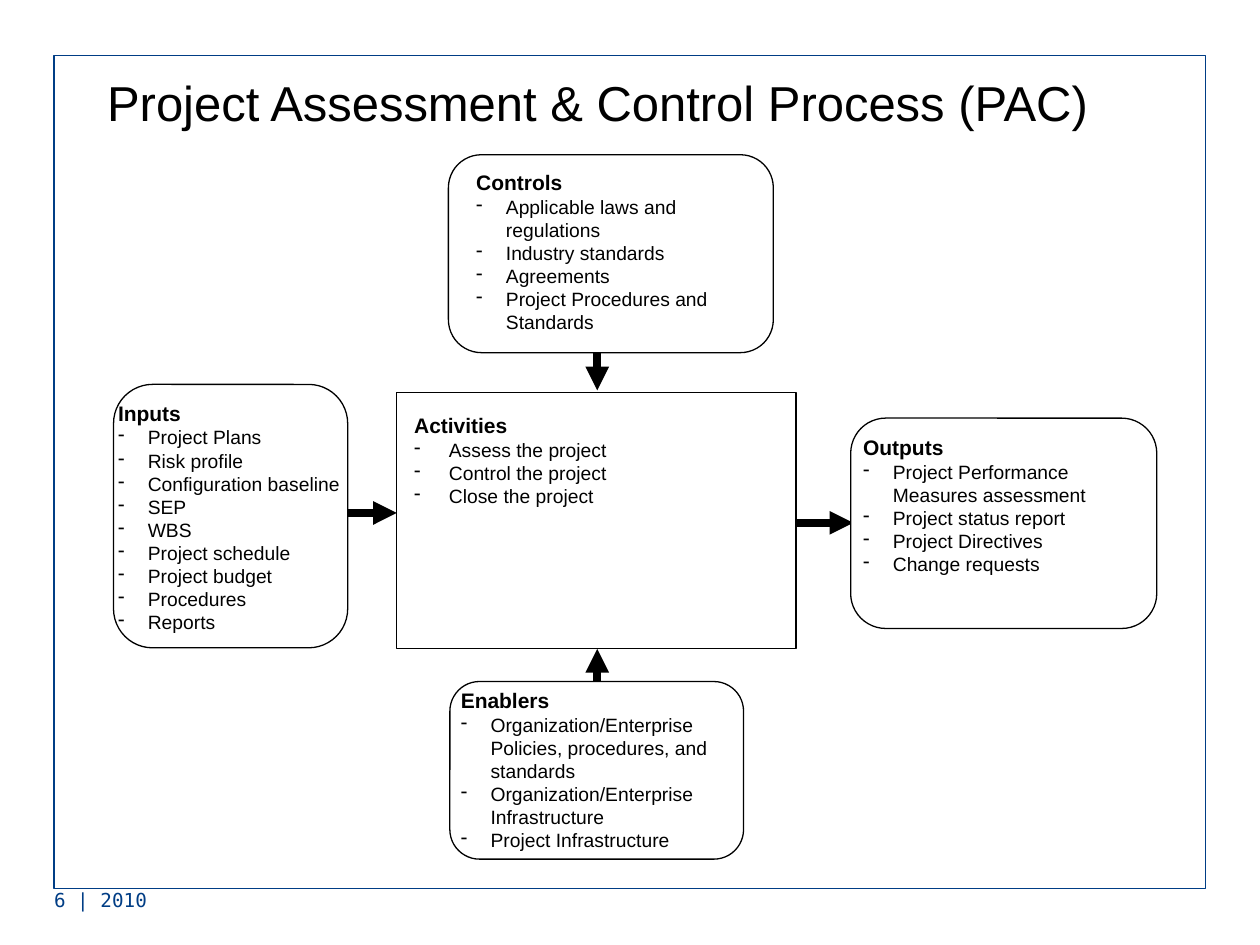
"""Builds the Project Assessment & Control process diagram slide."""
from lxml.etree import SubElement
from pptx import Presentation
from pptx.dml.color import RGBColor
from pptx.enum.shapes import MSO_CONNECTOR, MSO_SHAPE
from pptx.enum.text import MSO_ANCHOR
from pptx.oxml.ns import qn
from pptx.util import Cm, Pt

BLACK = RGBColor(0x00, 0x00, 0x00)
WHITE = RGBColor(0xFF, 0xFF, 0xFF)
NAVY = RGBColor(0x00, 0x3D, 0x85)


class ProcessSlide:
    font = "Arial"
    thin = Pt(0.74)
    thick = Pt(4.51)
    heading_size = 12
    item_size = 11
    item_spacing = Pt(13.2)

    def __init__(self, page):
        self.page = page

    def style(self, para, size, color=BLACK, bold=False, font=None):
        for span in para.runs:
            span.font.name = font or self.font
            span.font.size = Pt(size)
            span.font.bold = bold
            span.font.color.rgb = color

    def frame(self, kind, place, color=BLACK):
        shape = self.page.shapes.add_shape(kind, *map(Cm, place))
        shape.shadow.inherit = False
        shape.fill.solid()
        shape.fill.fore_color.rgb = WHITE
        shape.line.color.rgb = color
        shape.line.width = self.thin

    def text(self, place, words, size, color=BLACK, bold=False, font=None,
             anchor=MSO_ANCHOR.TOP):
        box = self.page.shapes.add_textbox(*map(Cm, place))
        text_frame = box.text_frame
        text_frame.word_wrap = True
        text_frame.vertical_anchor = anchor
        text_frame.text = words
        self.style(text_frame.paragraphs[0], size, color, bold, font)
        return text_frame

    def bullet(self, para, indent):
        properties = para._p.get_or_add_pPr()
        properties.set("marL", str(Cm(indent)))
        properties.set("indent", str(-Cm(indent)))
        SubElement(properties, qn("a:buChar"), char="-")

    def panel(self, kind, place, text_place, heading, items, indent=0.6):
        self.frame(kind, place)
        text_frame = self.text(text_place, heading, self.heading_size, bold=True)
        for item in items:
            para = text_frame.add_paragraph()
            para.text = item
            para.line_spacing = self.item_spacing
            self.style(para, self.item_size)
            self.bullet(para, indent)

    def arrow(self, *ends):
        connector = self.page.shapes.add_connector(
            MSO_CONNECTOR.STRAIGHT, *map(Cm, ends))
        connector.line.color.rgb = BLACK
        connector.line.width = self.thick
        SubElement(connector.line._get_or_add_ln(), qn("a:tailEnd"), type="triangle")
        SubElement(connector._element.spPr, qn("a:effectLst"))


ROUNDED = MSO_SHAPE.FLOWCHART_ALTERNATE_PROCESS
ARROWS = [
    (12.04, 7.11, 12.04, 7.87),
    (12.04, 13.74, 12.04, 13.08),
    (16.05, 10.54, 17.2, 10.54),
    (7.01, 10.34, 8, 10.34),
]
PANELS = [
    ((9.04, 3.12, 6.55, 3.99), (9.35, 3.3, 5.79, 3.56), "Controls",
     ["Applicable laws and regulations", "Industry standards", "Agreements",
      "Project Procedures and Standards"]),
    ((9.07, 13.74, 5.92, 3.58), (9.04, 13.74, 5.92, 3.56), "Enablers",
     ["Organization/Enterprise Policies, procedures, and standards",
      "Organization/Enterprise Infrastructure", "Project Infrastructure"]),
    ((17.15, 8.43, 6.17, 4.24), (17.15, 8.64, 6.35, 3.1), "Outputs",
     ["Project Performance Measures assessment", "Project status report",
      "Project Directives", "Change requests"]),
    ((2.29, 7.75, 4.72, 5.31), (2.13, 7.95, 5.08, 4.95), "Inputs",
     ["Project Plans", "Risk profile", "Configuration baseline", "SEP", "WBS",
      "Project schedule", "Project budget", "Procedures", "Reports"]),
]

deck = Presentation()
deck.slide_width, deck.slide_height = Cm(25.4), Cm(19.05)
slide = ProcessSlide(deck.slides.add_slide(deck.slide_layouts[6]))

slide.frame(MSO_SHAPE.RECTANGLE, (1.09, 1.12, 23.22, 16.79), NAVY)
slide.text((1.91, 0.86, 22.86, 2.41), "Project Assessment & Control Process (PAC)",
           28, anchor=MSO_ANCHOR.MIDDLE)
slide.panel(MSO_SHAPE.RECTANGLE, (8, 7.92, 8.05, 5.16), (8.1, 8.2, 7.82, 2.16),
            "Activities",
            ["Assess the project", "Control the project", "Close the project"],
            indent=0.7)
for ends in ARROWS:
    slide.arrow(*ends)
for panel in PANELS:
    slide.panel(ROUNDED, *panel)
slide.text((0.84, 17.78, 5.92, 1.27), "6 | 2010", 11, NAVY, font="DejaVu Sans Mono")

deck.save("out.pptx")
